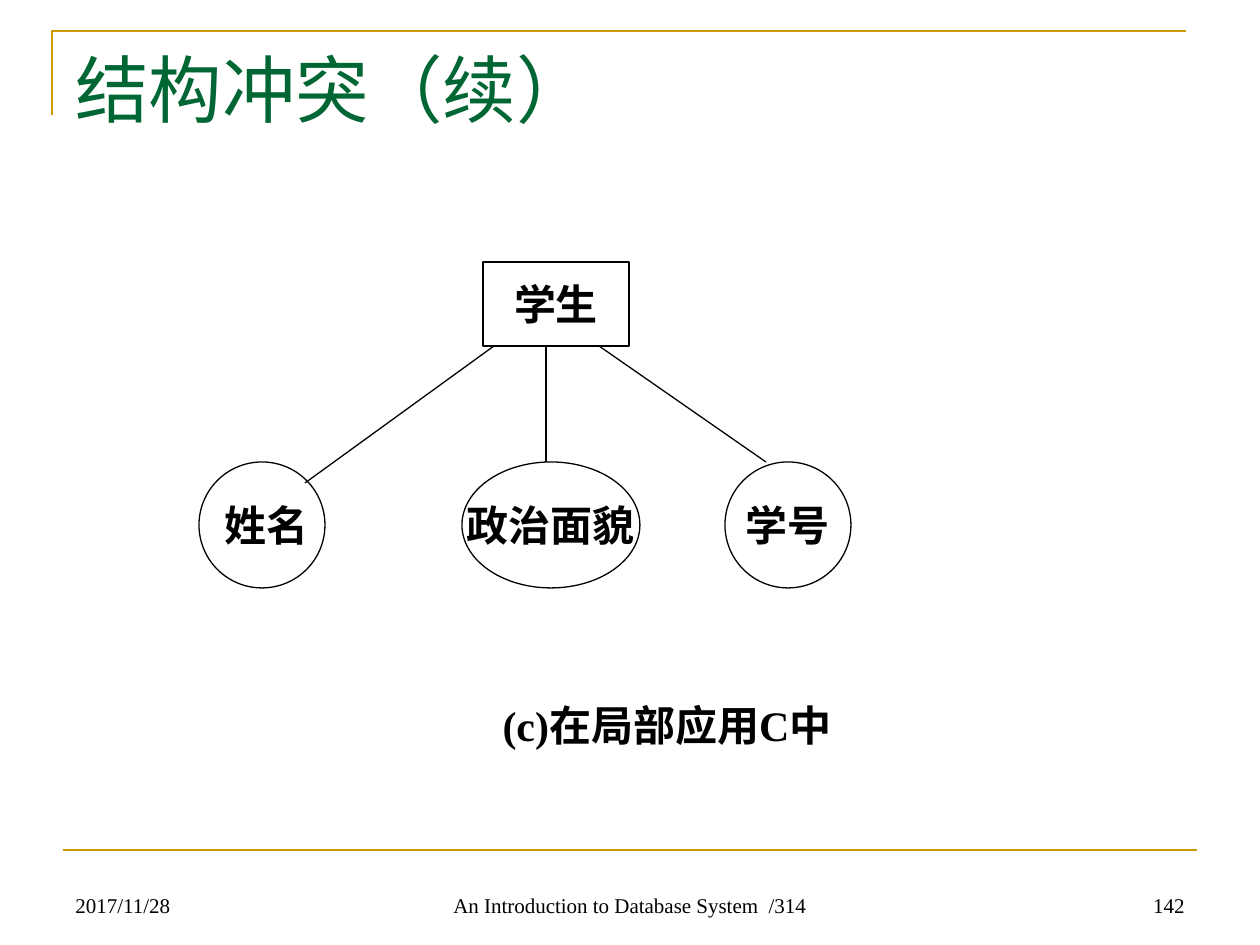
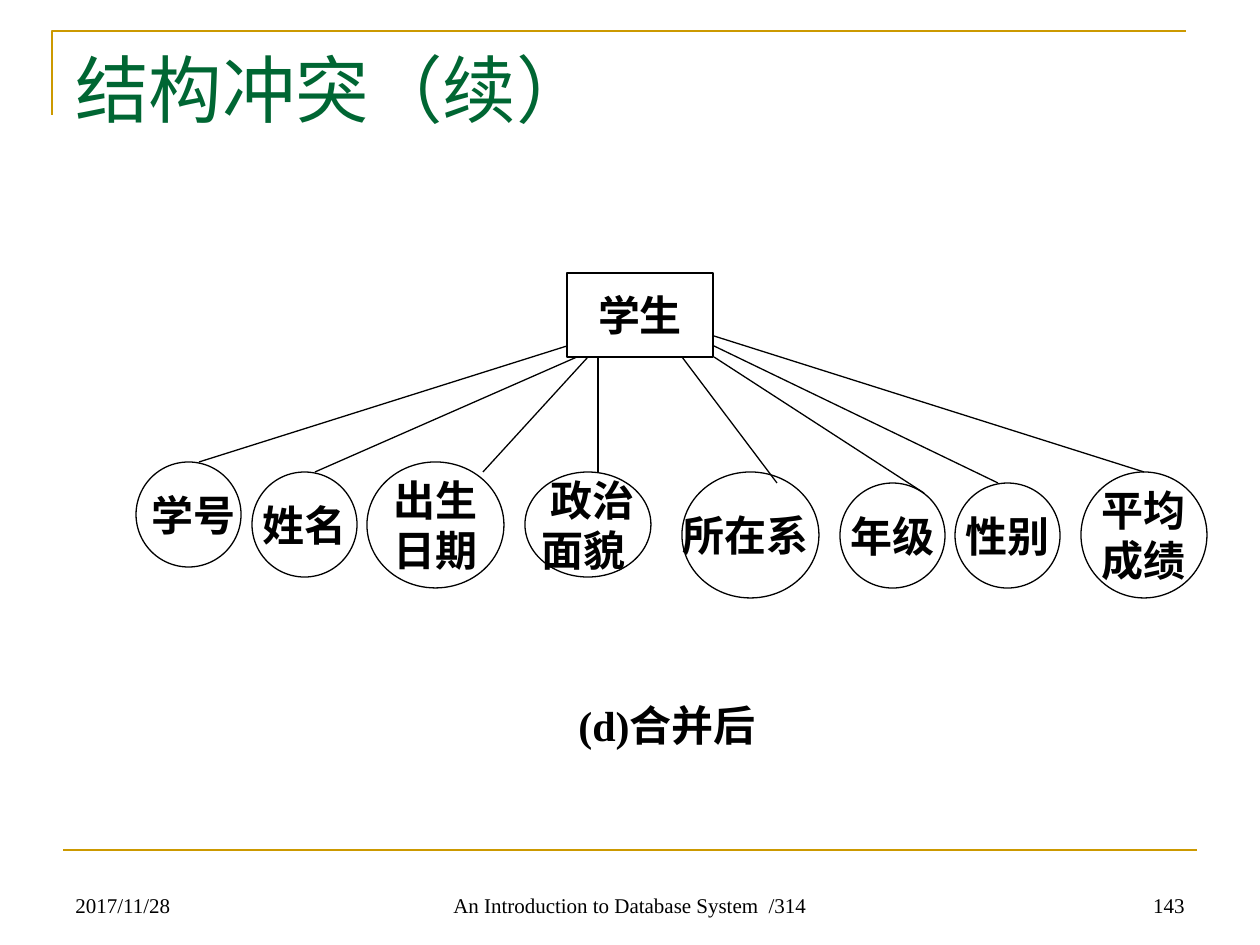
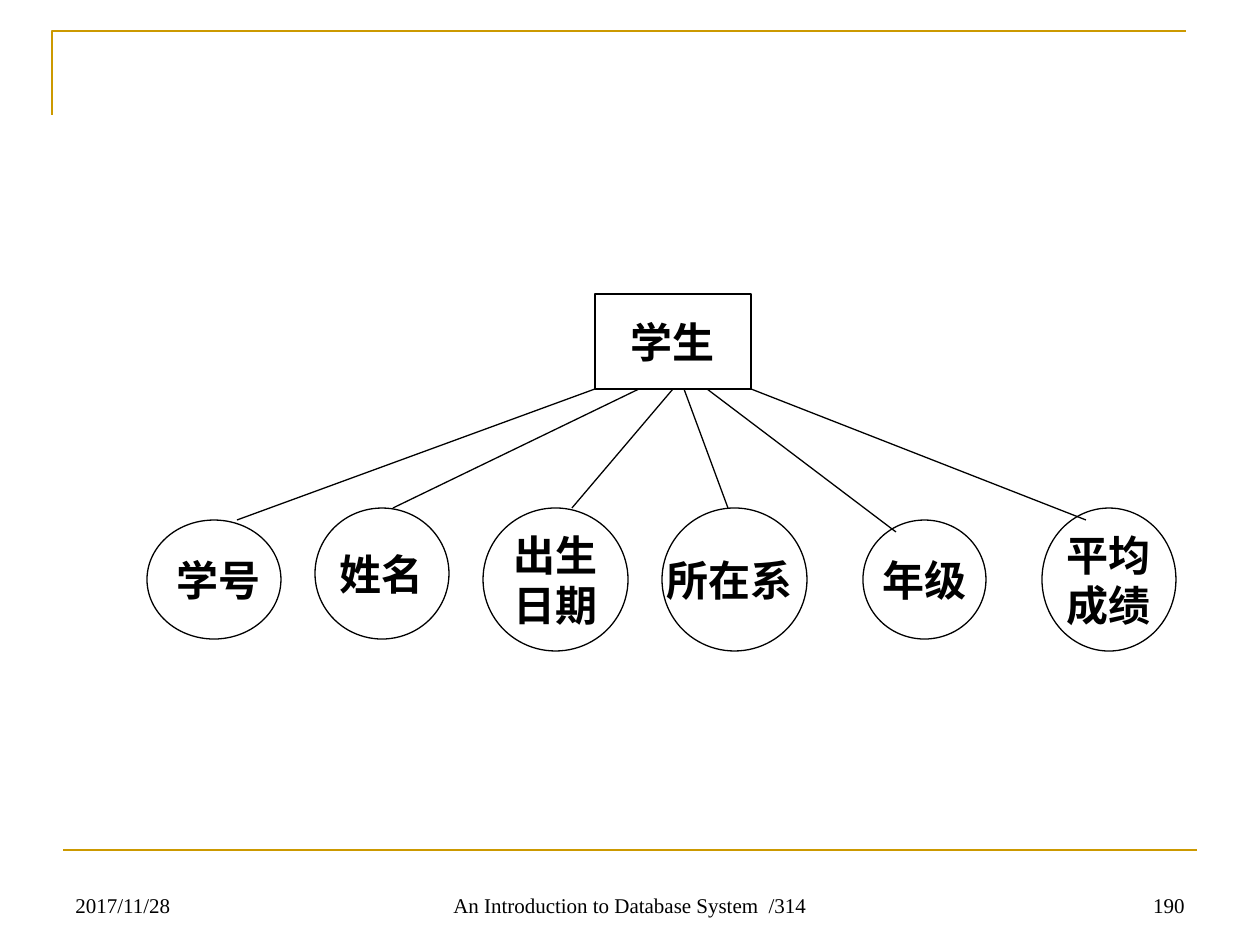
import pptx
import pptx.dml.color
import pptx.enum.lang
import pptx.enum.shapes
import pptx.enum.text
import pptx.oxml.ns
import pptx.util
import lxml.etree

PX = 914400 / 126
GOLD = pptx.dml.color.RGBColor(0xCC, 0x99, 0x00)
GREEN = pptx.dml.color.RGBColor(0x00, 0x66, 0x33)
BLACK = pptx.dml.color.RGBColor(0x00, 0x00, 0x00)
FONT = "Times New Roman"
CHINESE = pptx.enum.lang.MSO_LANGUAGE_ID.SIMPLIFIED_CHINESE
SHAPE = pptx.enum.shapes.MSO_SHAPE
ALIGN = pptx.enum.text.PP_ALIGN
ANCHOR = pptx.enum.text.MSO_ANCHOR

TITLE = "结构冲突（续）"
FOOTER = "An Introduction to Database System  /314"

SLIDES = [
    {
        "number": "142",
        "title": TITLE,
        "caption": "(c)在局部应用C中",
        "entity": (483, 262, 146, 84),
        "attributes": [
            ("学号", (725, 462, 126, 126), (599, 346, 766, 462)),
            (" 姓名", (199, 462, 126, 126), (494, 346, 305, 483)),
            (" 政治面貌 ", (462, 462, 178, 126), (546, 346, 546, 462)),
        ],
    },
    {
        "number": "143",
        "title": TITLE,
        "caption": "(d)合并后",
        "entity": (567, 273, 146, 84),
        "attributes": [
            (" 学号", (136, 462, 105, 105), (567, 346, 199, 462)),
            ("姓名", (252, 472, 105, 105), (577, 357, 315, 472)),
            ("出生\n日期", (367, 462, 137, 126), (588, 357, 483, 472)),
            (" 政治\n面貌 ", (525, 472, 126, 105), (598, 357, 598, 472)),
            ("所在系 ", (682, 472, 137, 126), (682, 357, 777, 483)),
            ("年级", (840, 483, 105, 105), (714, 357, 924, 493)),
            ("性别", (955, 483, 105, 105), (714, 346, 998, 483)),
            ("平均\n成绩", (1081, 472, 126, 126), (714, 336, 1144, 472)),
        ],
    },
    {
        "number": "190",
        "title": None,
        "caption": None,
        "entity": (595, 294, 156, 95),
        "attributes": [
            (" 学号", (147, 520, 134, 119), (595, 389, 237, 520)),
            ("姓名", (315, 508, 134, 131), (639, 389, 393, 508)),
            ("出生\n日期", (483, 508, 145, 143), (673, 389, 572, 508)),
            ("所在系 ", (662, 508, 145, 143), (684, 389, 728, 508)),
            ("年级", (863, 520, 123, 119), (707, 389, 896, 532)),
            ("平均\n成绩", (1042, 508, 134, 143), (751, 389, 1086, 520)),
        ],
    },
]


def add_text(s, text, box, size, align, anchor, color=BLACK, bold=False, shape=None, wrap=True):
    box = [round(v * PX) for v in box]
    if shape is None:
        sp = s.shapes.add_textbox(*box)
    else:
        sp = s.shapes.add_shape(shape, *box)
        sp.shadow.inherit = False
        sp.fill.background()
        sp.line.color.rgb = BLACK
        sp.line.width = pptx.util.Pt(0.75)
    tf = sp.text_frame
    tf.word_wrap = wrap
    tf.vertical_anchor = anchor
    for i, words in enumerate(text.split("\n")):
        p = tf.add_paragraph() if i else tf.paragraphs[0]
        p.alignment = align
        r = p.add_run()
        r.text = words
        r.font.name = FONT
        r.font.size = pptx.util.Pt(size)
        r.font.bold = bold
        r.font.color.rgb = color
        r.font.language_id = CHINESE


def add_line(s, ends, color, width):
    kind = pptx.enum.shapes.MSO_CONNECTOR.STRAIGHT
    c = s.shapes.add_connector(kind, *[round(v * PX) for v in ends])
    c.line.color.rgb = color
    c.line.width = pptx.util.Pt(width)
    spPr = c._element.find(pptx.oxml.ns.qn("p:spPr"))
    lxml.etree.SubElement(spPr, pptx.oxml.ns.qn("a:effectLst"))


prs = pptx.Presentation()
prs.slide_width = pptx.util.Inches(10)
prs.slide_height = pptx.util.Inches(7.5)

for page in SLIDES:
    s = prs.slides.add_slide(prs.slide_layouts[6])

    fb = s.shapes.build_freeform(52, 115, scale=PX)
    fb.add_line_segments([(52, 31), (1186, 31)], close=False)
    corner = fb.convert_to_shape()
    corner.shadow.inherit = False
    corner.fill.background()
    corner.line.color.rgb = GOLD
    corner.line.width = pptx.util.Pt(1.5)
    add_line(s, (63, 850, 1197, 850), GOLD, 1.5)

    add_text(s, "2017/11/28", (63, 861, 294, 63), 12, ALIGN.LEFT, ANCHOR.BOTTOM)
    add_text(s, FOOTER, (430, 861, 400, 63), 12, ALIGN.CENTER, ANCHOR.BOTTOM)
    add_text(s, page["number"], (903, 861, 294, 63), 12, ALIGN.RIGHT, ANCHOR.BOTTOM)

    if page["title"]:
        add_text(s, page["title"], (63, 38, 1134, 157), 42, ALIGN.LEFT, ANCHOR.TOP, GREEN)
    if page["caption"]:
        add_text(s, page["caption"], (462, 683, 410, 84), 24, ALIGN.CENTER, ANCHOR.MIDDLE,
                 bold=True, wrap=False)

    add_text(s, "学生", page["entity"], 24, ALIGN.CENTER, ANCHOR.MIDDLE,
             bold=True, shape=SHAPE.RECTANGLE, wrap=False)
    for name, box, link in page["attributes"]:
        add_text(s, name, box, 24, ALIGN.CENTER, ANCHOR.MIDDLE,
                 bold=True, shape=SHAPE.OVAL, wrap=False)
        add_line(s, link, BLACK, 0.75)

prs.save("out.pptx")
